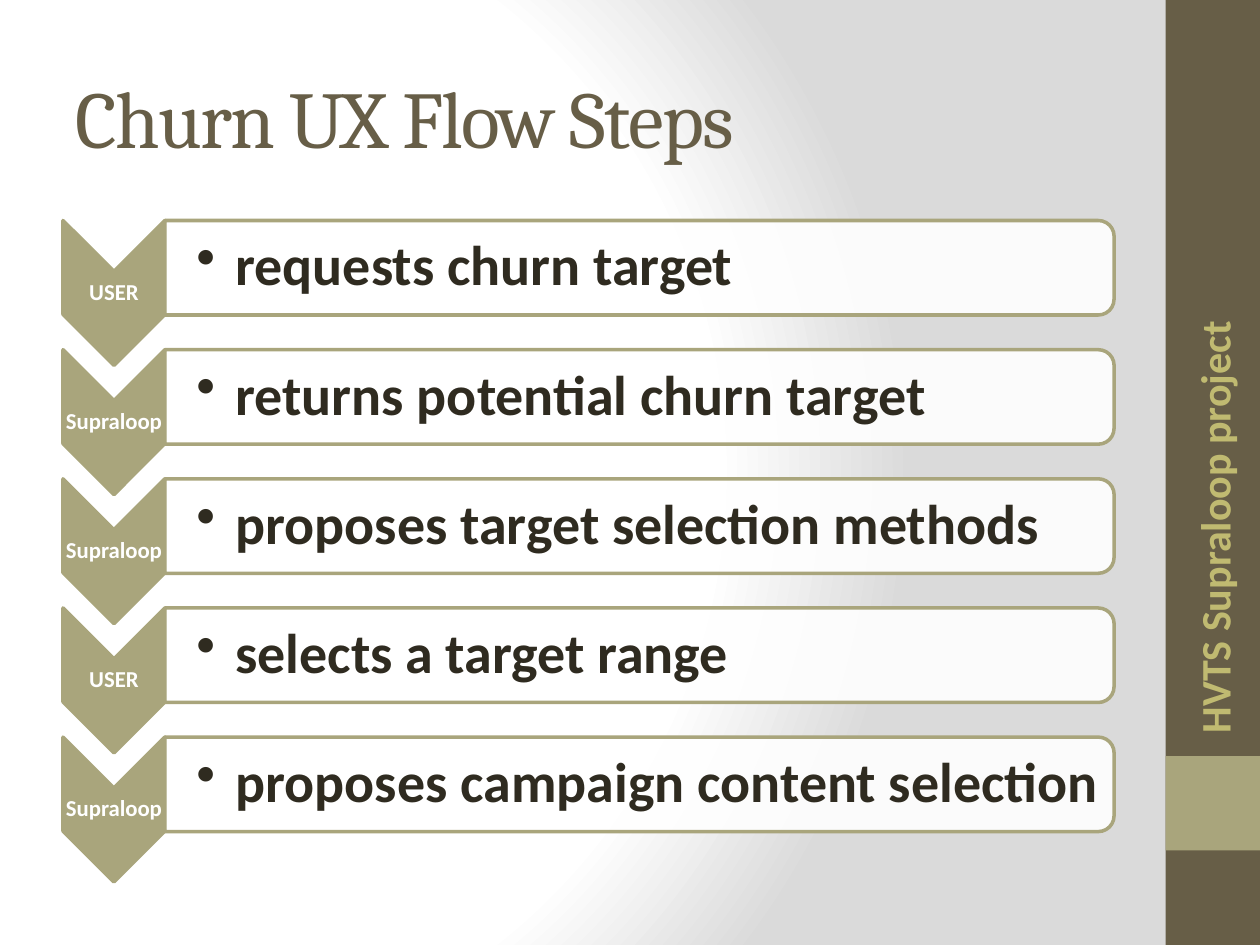
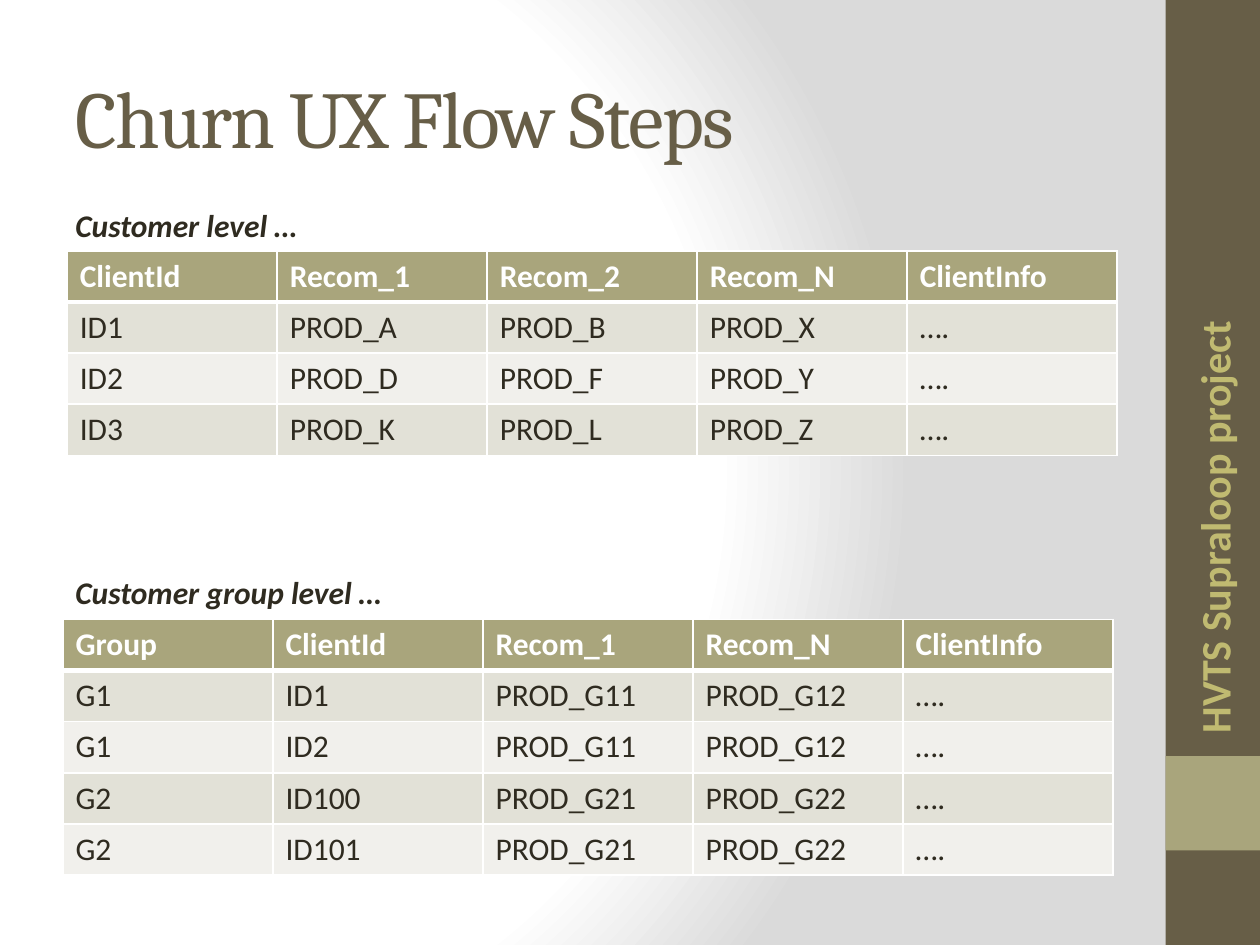
from dataclasses import dataclass
from pptx import Presentation
from pptx.dml.color import RGBColor
from pptx.enum.shapes import MSO_SHAPE
from pptx.enum.text import MSO_ANCHOR, PP_ALIGN
from pptx.oxml import parse_xml
from pptx.oxml.ns import nsdecls
from pptx.util import Inches, Pt


@dataclass(frozen=True)
class Theme:
    """Colours, fonts and type sizes of the deck."""
    dark: str = "675E47"
    accent: str = "A9A57C"
    gold: str = "C0BA71"
    ink: str = "2F2B20"
    white: str = "FFFFFF"
    grey: str = "DADADA"
    stripes: tuple = ("E2E1D7", "F1F0EC")
    heading: str = "Cambria"
    body: str = "Calibri"
    title_size: float = 46
    step_size: float = 32
    side_size: float = 24
    table_size: float = 18
    label_size: float = 13


T = Theme()
PROJECT = "Supraloop"

prs = Presentation()
prs.slide_width, prs.slide_height = Inches(10), Inches(7.5)
U = prs.slide_width / 120  # square grid: 120 columns by 90 rows


def box(s, area, shape=None, fill=None, turn=0):
    """Add a shape or text box that covers area (grid units) once turned."""
    x, y, w, h = area
    if turn:
        x, y, w, h = x + (w - h) / 2, y + (h - w) / 2, h, w
    at = [round(v * U) for v in (x, y, w, h)]
    if shape is None:
        sp = s.shapes.add_textbox(*at)
        sp.text_frame.word_wrap = True
    else:
        sp = s.shapes.add_shape(shape, *at)
        sp.shadow.inherit = False
        sp.fill.solid()
        sp.fill.fore_color.rgb = RGBColor.from_string(fill)
        sp.line.fill.background()
    sp.rotation = turn
    return sp


def write(tf, text, size, color, bold=True, italic=False, font=T.body):
    """Fill a text frame with one formatted run and return its paragraph."""
    tf.text = text
    p = tf.paragraphs[0]
    f = p.runs[0].font
    f.name, f.size, f.bold, f.italic = font, Pt(size), bold, italic
    f.color.rgb = RGBColor.from_string(color)
    return p


# Shared frame: background, side band, project name and title
slides = []
for title in ["Churn UX Flow Steps"] * 2:
    s = prs.slides.add_slide(prs.slide_layouts[6])
    stops = "".join(f'<a:gs pos="{pos}000"><a:srgbClr val="{c}"/></a:gs>'
                    for pos, c in ((0, T.white), (75, T.white), (100, T.grey)))
    s.element.cSld.insert(0, parse_xml(
        f'<p:bg {nsdecls("p", "a")}><p:bgPr><a:gradFill rotWithShape="1">'
        f'<a:gsLst>{stops}</a:gsLst><a:path path="circle">'
        '<a:fillToRect l="20000" t="50000" r="100000" b="50000"/></a:path>'
        '</a:gradFill><a:effectLst/></p:bgPr></p:bg>'))
    box(s, (111, 0, 9, 90), MSO_SHAPE.RECTANGLE, T.dark)
    box(s, (111, 72, 9, 9), MSO_SHAPE.RECTANGLE, T.accent)
    side = box(s, (112.6, 27, 6, 44), turn=270)
    write(side.text_frame, f"HVTS {PROJECT} project", T.side_size, T.gold)
    tf = box(s, (6, 3.6, 100, 15)).text_frame
    tf.vertical_anchor = MSO_ANCHOR.MIDDLE
    p = write(tf, title, T.title_size, T.dark, None, font=T.heading)
    p.runs[0].font._element.set("spc", "-100")
    slides.append(s)
flow, tables = slides

# Slide 1: chevron list
steps = [
    ("USER", "requests churn target"),
    (PROJECT, "returns potential churn target"),
    (PROJECT, "proposes target selection methods"),
    ("USER", "selects a target range"),
    (PROJECT, "proposes campaign content selection"),
]
LEFT, TOP, STEP, CHEVRON_W, BAR_W, BAR_H = 6, 21, 12.3, 9.7, 90.4, 9
bar_left = LEFT + CHEVRON_W
for i, (actor, action) in enumerate(steps):
    y = TOP + i * STEP
    chevron = box(flow, (LEFT, y, CHEVRON_W, 13.8), MSO_SHAPE.CHEVRON, T.accent, 90)
    bar = box(flow, (bar_left, y, BAR_W, BAR_H),
              MSO_SHAPE.ROUND_2_SAME_RECTANGLE, T.white, 90)
    for sp in (chevron, bar):
        sp.line.color.rgb = RGBColor.from_string(T.accent)
        sp.line.width = Pt(2)
    color = bar.element.xpath("./p:spPr/a:solidFill/a:srgbClr")[0]
    color.append(parse_xml(f'<a:alpha {nsdecls("a")} val="90000"/>'))

    label = box(flow, (LEFT, y + 4.8, CHEVRON_W, 4.2)).text_frame
    detail = box(flow, (bar_left, y + 0.4, BAR_W - 0.5, BAR_H - 0.8)).text_frame
    for tf, inset, left in ((label, 0.1, 0.1), (detail, 0.24, 3)):
        tf.vertical_anchor = MSO_ANCHOR.MIDDLE
        tf.margin_top = tf.margin_bottom = tf.margin_right = round(inset * U)
        tf.margin_left = round(left * U)
    p = write(label, actor, T.label_size, T.white)
    p.alignment, p.line_spacing = PP_ALIGN.CENTER, 0.9
    p = write(detail, action, T.step_size, T.ink)
    p.line_spacing = 0.9
    pPr = p._p.get_or_add_pPr()
    pPr.set("marL", str(Inches(0.31)))
    pPr.set("indent", str(-Inches(0.31)))
    pPr.append(parse_xml(f'<a:buChar {nsdecls("a")} char="•"/>'))

# Slide 2: two captioned tables
COL_W, ROW_H = 20, 4.87
levels = [
    ("Customer level …", (6, 19, 62, 4.8), (6.4, 23.9), [
        ("ClientId", "Recom_1", "Recom_2", "Recom_N", "ClientInfo"),
        ("ID1", "PROD_A", "PROD_B", "PROD_X", "…."),
        ("ID2", "PROD_D", "PROD_F", "PROD_Y", "…."),
        ("ID3", "PROD_K", "PROD_L", "PROD_Z", "…."),
    ]),
    ("Customer group level …", (6, 54, 34, 4.8), (6, 59), [
        ("Group", "ClientId", "Recom_1", "Recom_N", "ClientInfo"),
        ("G1", "ID1", "PROD_G11", "PROD_G12", "…."),
        ("G1", "ID2", "PROD_G11", "PROD_G12", "…."),
        ("G2", "ID100", "PROD_G21", "PROD_G22", "…."),
        ("G2", "ID101", "PROD_G21", "PROD_G22", "…."),
    ]),
]
for caption, area, (x, y), rows in levels:
    size = (x, y, COL_W * len(rows[0]), ROW_H * len(rows))
    tbl = tables.shapes.add_table(len(rows), len(rows[0]),
                                  *(round(v * U) for v in size)).table
    for i, row in enumerate(rows):
        for j, value in enumerate(row):
            cell = tbl.cell(i, j)
            header = i == 0
            write(cell.text_frame, value, T.table_size,
                  T.white if header else T.ink, header)
            cell.fill.solid()
            cell.fill.fore_color.rgb = RGBColor.from_string(
                T.accent if header else T.stripes[(i - 1) % 2])
            widths = {"L": 1, "R": 1, "T": 3 if i == 1 else 1, "B": 3 if header else 1}
            for k, (edge, width) in enumerate(widths.items()):
                cell._tc.get_or_add_tcPr().insert(k, parse_xml(
                    f'<a:ln{edge} {nsdecls("a")} w="{Pt(width)}"><a:solidFill>'
                    f'<a:srgbClr val="{T.white}"/></a:solidFill></a:ln{edge}>'))
    write(box(tables, area).text_frame, caption, T.table_size, T.ink, italic=True)

prs.save("out.pptx")
